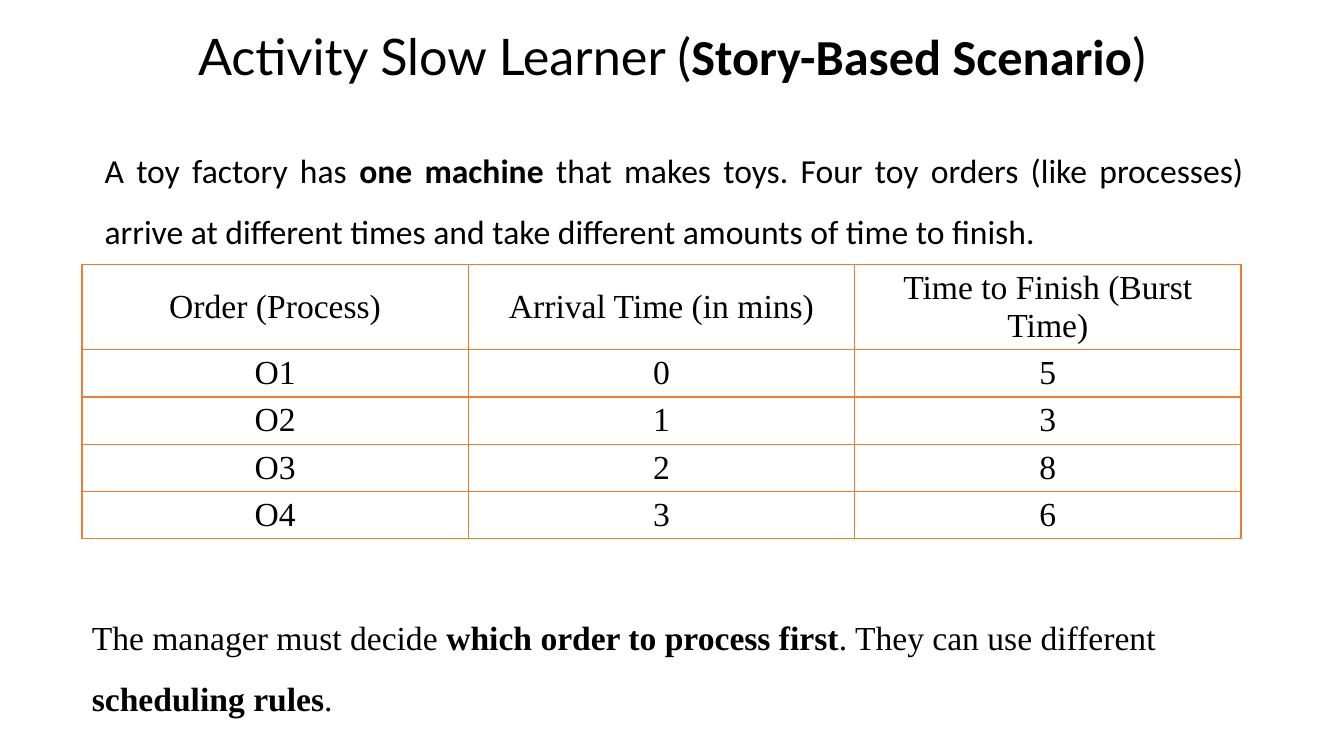
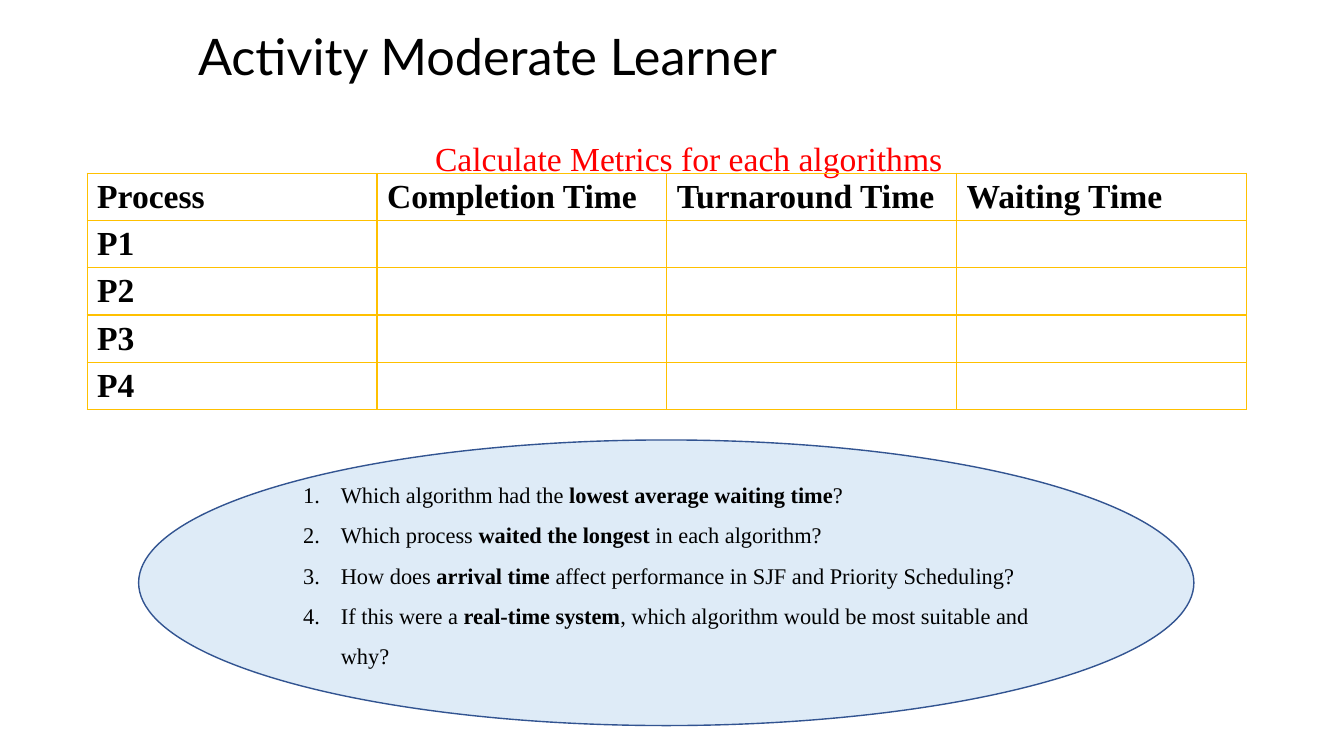
"""Build two classroom activity slides on process scheduling."""
from dataclasses import dataclass
from typing import Any, Optional, Sequence

from lxml import etree
from pptx import Presentation, util as u
from pptx.dml.color import RGBColor
from pptx.enum import shapes, text
from pptx.oxml import ns
from pptx.slide import Slide

PX = 9525
BLACK = RGBColor(0, 0, 0)
RED = RGBColor(0xFF, 0, 0)
ORANGE = RGBColor(0xED, 0x7D, 0x31)
GOLD = RGBColor(0xFF, 0xC0, 0)
PALE_BLUE = RGBColor(0xDE, 0xEB, 0xF7)
DARK_BLUE = RGBColor(0x32, 0x54, 0x91)
SERIF, SANS, DISPLAY = "Times New Roman", "Calibri", "Lato"
LEFT, CENTER, JUSTIFY = text.PP_ALIGN.LEFT, text.PP_ALIGN.CENTER, text.PP_ALIGN.JUSTIFY


@dataclass(frozen=True)
class Box:
    left: int
    top: int
    width: int
    height: int

    def emu(self) -> tuple[int, int, int, int]:
        return self.left * PX, self.top * PX, self.width * PX, self.height * PX


@dataclass(frozen=True)
class Style:
    font: str = SERIF
    size: int = 24
    color: RGBColor = BLACK
    align: text.PP_ALIGN = LEFT
    spacing: float = 1.0
    before: int = 0
    bold: bool = False
    strong_font: Optional[str] = None


@dataclass(frozen=True)
class Grid:
    box: Box
    row_heights: Sequence[int]
    rows: Sequence[Sequence[str]]
    border: RGBColor
    style: Style


TITLE_BOX = Box(179, 19, 1071, 68)
TITLE = Style(DISPLAY, 36, strong_font=SANS)
STORY = Style(SANS, align=JUSTIFY, spacing=1.5, before=10)
DECISION = Style(spacing=1.5)
METRICS = Style(color=RED, align=CENTER, spacing=1.7, before=10)
QUESTION = Style(size=16, spacing=1.5)

ORDERS = Grid(
    Box(78, 252, 1104, 261), [81, 45, 45, 45, 45],
    [("Order (Process)", "Arrival Time (in mins)", "Time to Finish (Burst Time)"),
     ("O1", "0", "5"), ("O2", "1", "3"), ("O3", "2", "8"), ("O4", "3", "6")],
    ORANGE, Style(align=CENTER))
RESULTS = Grid(
    Box(83, 165, 1104, 225), [45] * 5,
    [("Process", "Completion Time", "Turnaround Time", "Waiting Time"),
     *((f"P{number}", "", "", "") for number in range(1, 5))],
    GOLD, Style(bold=True))
QUESTIONS = [
    "Which algorithm had the **lowest average waiting time**?",
    "Which process **waited the longest** in each algorithm?",
    "How does **arrival time** affect performance in SJF and Priority Scheduling?",
    "If this were a **real-time system**, which algorithm would be most suitable and why?",
]


def write(paragraph: Any, wording: str, style: Style) -> None:
    paragraph.alignment = style.align
    paragraph.line_spacing = style.spacing
    paragraph.space_before = u.Pt(style.before)
    font = paragraph.font
    font.name, font.size, font.bold = style.font, u.Pt(style.size), style.bold
    font.color.rgb = style.color
    for index, part in enumerate(wording.split("**")):
        if part:
            run = paragraph.add_run()
            run.text = part
            if index % 2:
                run.font.bold = True
                if style.strong_font:
                    run.font.name = style.strong_font


def set_bullet(paragraph: Any, hanging: int = 0) -> None:
    properties = paragraph._p.get_or_add_pPr()
    properties.set("marL", str(hanging * PX))
    properties.set("indent", str(-hanging * PX))
    if hanging:
        etree.SubElement(properties, ns.qn("a:buAutoNum"), type="arabicPeriod")
    else:
        etree.SubElement(properties, ns.qn("a:buNone"))


def place(shape: Any, box: Box) -> None:
    shape.left, shape.top, shape.width, shape.height = box.emu()


def add_slide(deck: Any, title: str, body: str, body_box: Box, body_style: Style) -> Slide:
    slide = deck.slides.add_slide(deck.slide_layouts[1])
    heading, intro = slide.placeholders
    place(heading, TITLE_BOX)
    place(intro, body_box)
    for shape in (heading, intro):
        shape.text_frame.vertical_anchor = text.MSO_ANCHOR.TOP
        shape.text_frame.auto_size = text.MSO_AUTO_SIZE.NONE
    write(heading.text_frame.paragraphs[0], title, TITLE)
    opening = intro.text_frame.paragraphs[0]
    set_bullet(opening)
    write(opening, body, body_style)
    return slide


def set_borders(cell: Any, color: RGBColor) -> None:
    properties = cell._tc.get_or_add_tcPr()
    for index, side in enumerate(("lnL", "lnR", "lnT", "lnB")):
        line = etree.Element(ns.qn(f"a:{side}"), w=str(u.Pt(1)))
        paint = etree.SubElement(line, ns.qn("a:solidFill"))
        etree.SubElement(paint, ns.qn("a:srgbClr"), val=str(color))
        properties.insert(index, line)


def add_grid(slide: Slide, grid: Grid) -> None:
    columns = len(grid.rows[0])
    table = slide.shapes.add_table(len(grid.rows), columns, *grid.box.emu()).table
    table.first_row = table.horz_banding = False
    for row, height, wordings in zip(table.rows, grid.row_heights, grid.rows):
        row.height = height * PX
        for cell, wording in zip(row.cells, wordings):
            cell.fill.background()
            cell.vertical_anchor = text.MSO_ANCHOR.MIDDLE
            set_borders(cell, grid.border)
            if wording:
                write(cell.text_frame.paragraphs[0], wording, grid.style)


def add_text(slide: Slide, box: Box, wording: str, style: Style) -> None:
    frame = slide.shapes.add_textbox(*box.emu()).text_frame
    frame.word_wrap = True
    write(frame.paragraphs[0], wording, style)


def add_questions(slide: Slide, box: Box) -> None:
    oval = slide.shapes.add_shape(shapes.MSO_SHAPE.OVAL, *box.emu())
    oval.shadow.inherit = False
    oval.fill.solid()
    oval.fill.fore_color.rgb = PALE_BLUE
    oval.line.color.rgb = DARK_BLUE
    oval.line.width = u.Pt(1)
    frame = oval.text_frame
    frame.word_wrap = True
    frame.vertical_anchor = text.MSO_ANCHOR.MIDDLE
    frame.margin_bottom = 32 * PX
    for index, question in enumerate(QUESTIONS):
        paragraph = frame.add_paragraph() if index else frame.paragraphs[0]
        set_bullet(paragraph, 36)
        write(paragraph, question, QUESTION)


def main() -> None:
    deck = Presentation()
    deck.slide_width, deck.slide_height = 1280 * PX, 720 * PX

    story = add_slide(
        deck, "Activity Slow Learner (**Story-Based Scenario**)",
        "A toy factory has **one machine** that makes toys. Four toy orders (like processes) "
        "arrive at different times and take different amounts of time to finish.",
        Box(90, 119, 1104, 457), STORY)
    add_grid(story, ORDERS)
    add_text(
        story, Box(78, 564, 1139, 119),
        "The manager must decide **which order to process first**. "
        "They can use different **scheduling rules**.", DECISION)

    metrics = add_slide(
        deck, "Activity Moderate Learner", "Calculate Metrics for each algorithms",
        Box(45, 100, 1222, 564), METRICS)
    add_grid(metrics, RESULTS)
    add_questions(metrics, Box(132, 419, 1005, 272))

    deck.save("out.pptx")


if __name__ == "__main__":
    main()
